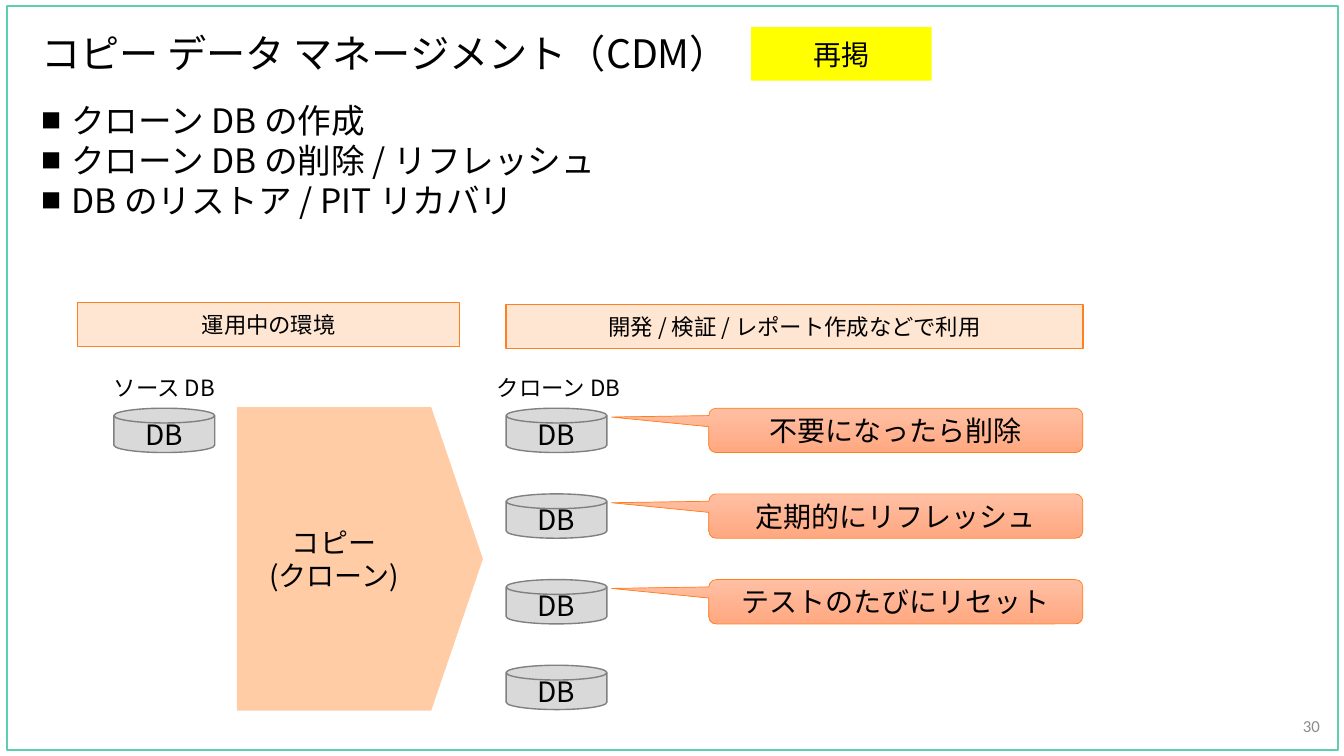
from lxml import etree
from pptx import Presentation
from pptx.dml.color import RGBColor
from pptx.enum.shapes import MSO_SHAPE
from pptx.enum.text import MSO_ANCHOR, PP_ALIGN
from pptx.oxml.ns import qn
from pptx.util import Inches, Pt

RECTANGLE = MSO_SHAPE.RECTANGLE
DISK = MSO_SHAPE.FLOWCHART_MAGNETIC_DISK
ARROW = MSO_SHAPE.RIGHT_ARROW
CALLOUT = MSO_SHAPE.ROUNDED_RECTANGULAR_CALLOUT
LEFT, CENTER, RIGHT = PP_ALIGN.LEFT, PP_ALIGN.CENTER, PP_ALIGN.RIGHT
TOP, MIDDLE = MSO_ANCHOR.TOP, MSO_ANCHOR.MIDDLE

BLACK = RGBColor(0x00, 0x00, 0x00)
WHITE = RGBColor(0xFF, 0xFF, 0xFF)
MINT = RGBColor(0x5D, 0xCE, 0xAF)
YELLOW = RGBColor(0xFF, 0xFF, 0x00)
ORANGE = RGBColor(0xFF, 0x80, 0x21)
PALE_ORANGE = RGBColor(0xFF, 0xE6, 0xD3)
ARROW_ORANGE = RGBColor(0xFF, 0xCC, 0xA6)
CALLOUT_TOP = RGBColor(0xFF, 0xBF, 0xA3)
CALLOUT_BOTTOM = RGBColor(0xFF, 0xA8, 0x81)
DISK_GRAY = RGBColor(0xD9, 0xD9, 0xD9)
DISK_EDGE = RGBColor(0x80, 0x80, 0x80)
NUMBER_GRAY = RGBColor(0x8C, 0x8C, 0x8C)

FONT = "Noto Sans CJK JP"
NUMBER_FONT = "Calibri"

ROW_TOP, ROW_STEP, ROW_HEIGHT = 4.05, 0.85, 0.44
SOURCE_LEFT, CLONE_LEFT = 1.13, 5.02
CALLOUTS = ["不要になったら削除", "定期的にリフレッシュ", "テストのたびにリセット"]
CLONE_COUNT = 4


class SlideBuilder:
    def __init__(self, slide):
        self.slide = slide

    def set_text(self, shape, lines, size, align=CENTER, anchor=MIDDLE,
                 color=BLACK, font_name=FONT):
        """Fill a shape with one paragraph per line and return the paragraphs."""
        frame = shape.text_frame
        frame.word_wrap = True
        frame.vertical_anchor = anchor
        frame.text = "\n".join(lines)
        for paragraph in frame.paragraphs:
            paragraph.alignment = align
            paragraph.font.size = Pt(size)
            paragraph.font.color.rgb = color
            paragraph.font.name = font_name
            east_asian = etree.SubElement(paragraph.font._element, qn("a:ea"))
            east_asian.set("typeface", font_name)
        return frame.paragraphs

    def text(self, box, lines, size, **style):
        shape = self.slide.shapes.add_textbox(*map(Inches, box))
        return self.set_text(shape, lines, size, **style)

    def shape(self, kind, box, fill, line=None, line_width=1, lines=(), size=20):
        shape = self.slide.shapes.add_shape(kind, *map(Inches, box))
        shape.shadow.inherit = False
        shape.fill.solid()
        shape.fill.fore_color.rgb = fill
        if line is None:
            shape.line.fill.background()
        else:
            shape.line.color.rgb = line
            shape.line.width = Pt(line_width)
        if lines:
            self.set_text(shape, lines, size)
        return shape

    def bullets(self, box, lines, size):
        for paragraph in self.text(box, lines, size, align=LEFT, anchor=TOP):
            paragraph.line_spacing = 0.8
            paragraph.space_before = Pt(5.4)
            properties = paragraph._p.get_or_add_pPr()
            properties.set("marL", str(Inches(0.3)))
            properties.set("indent", str(-Inches(0.3)))
            bullet_size = etree.Element(qn("a:buSzPct"), val="60000")
            bullet_font = etree.Element(qn("a:buFont"), typeface=FONT)
            bullet = etree.Element(qn("a:buChar"), char="■")
            default_font = properties.find(qn("a:defRPr"))
            for element in (bullet_size, bullet_font, bullet):
                default_font.addprevious(element)

    def header(self, box, text):
        self.shape(RECTANGLE, box, PALE_ORANGE, ORANGE, lines=[text], size=16)

    def database(self, left, top):
        self.shape(DISK, (left, top, 1, ROW_HEIGHT), DISK_GRAY, DISK_EDGE, lines=["DB"])

    def callout(self, top, text):
        shape = self.shape(CALLOUT, (7.03, top, 3.71, ROW_HEIGHT), CALLOUT_TOP,
                           ORANGE, 0.5, [text])
        shape.adjustments[0] = -0.76
        shape.adjustments[1] = -0.3
        shape.fill.gradient()
        shape.fill.gradient_angle = 270
        for stop, color in zip(shape.fill.gradient_stops, (CALLOUT_TOP, CALLOUT_BOTTOM)):
            stop.color.rgb = color

    def copy_arrow(self, box, lines):
        arrow = self.shape(ARROW, box, ARROW_ORANGE, lines=lines)
        arrow.adjustments[0] = 1
        arrow.adjustments[1] = 0.21


def main():
    presentation = Presentation()
    presentation.slide_width = Inches(13.33)
    presentation.slide_height = Inches(7.5)
    builder = SlideBuilder(presentation.slides.add_slide(presentation.slide_layouts[6]))

    builder.shape(RECTANGLE, (0.07, 0.06, 13.2, 7.38), WHITE, MINT)
    title = builder.text((0.31, 0.24, 12.67, 0.63),
                         ["コピー データ マネージメント（CDM）"], 28, align=LEFT)
    title[0].line_spacing = 0.9
    builder.text((12.52, 7.05, 0.67, 0.3), ["30"], 12, align=RIGHT,
                 color=NUMBER_GRAY, font_name=NUMBER_FONT)
    builder.bullets((0.31, 1.02, 12.67, 1.38),
                    ["クローン DB の作成", "クローン DB の削除 / リフレッシュ",
                     "DB のリストア / PIT リカバリ"], 24)

    builder.header((0.77, 3, 3.79, ROW_HEIGHT), "運用中の環境")
    builder.header((CLONE_LEFT, 3.02, 5.72, ROW_HEIGHT),
                   "開発 / 検証 / レポート作成などで利用")
    for left, label in ((0.8, "ソース DB"), (4.71, "クローン DB")):
        builder.text((left, 3.62, 1.66, ROW_HEIGHT), [label], 16)

    builder.database(SOURCE_LEFT, ROW_TOP)
    builder.copy_arrow((2.35, 4.04, 2.44, 3.01), ["コピー", "(クローン)"])
    for row in range(CLONE_COUNT):
        builder.database(CLONE_LEFT, ROW_TOP + row * ROW_STEP)
    for row, text in enumerate(CALLOUTS):
        builder.callout(ROW_TOP + row * ROW_STEP, text)

    builder.shape(RECTANGLE, (7.45, 0.27, 1.79, 0.53), YELLOW, lines=["再掲"])
    presentation.save("out.pptx")


if __name__ == "__main__":
    main()
